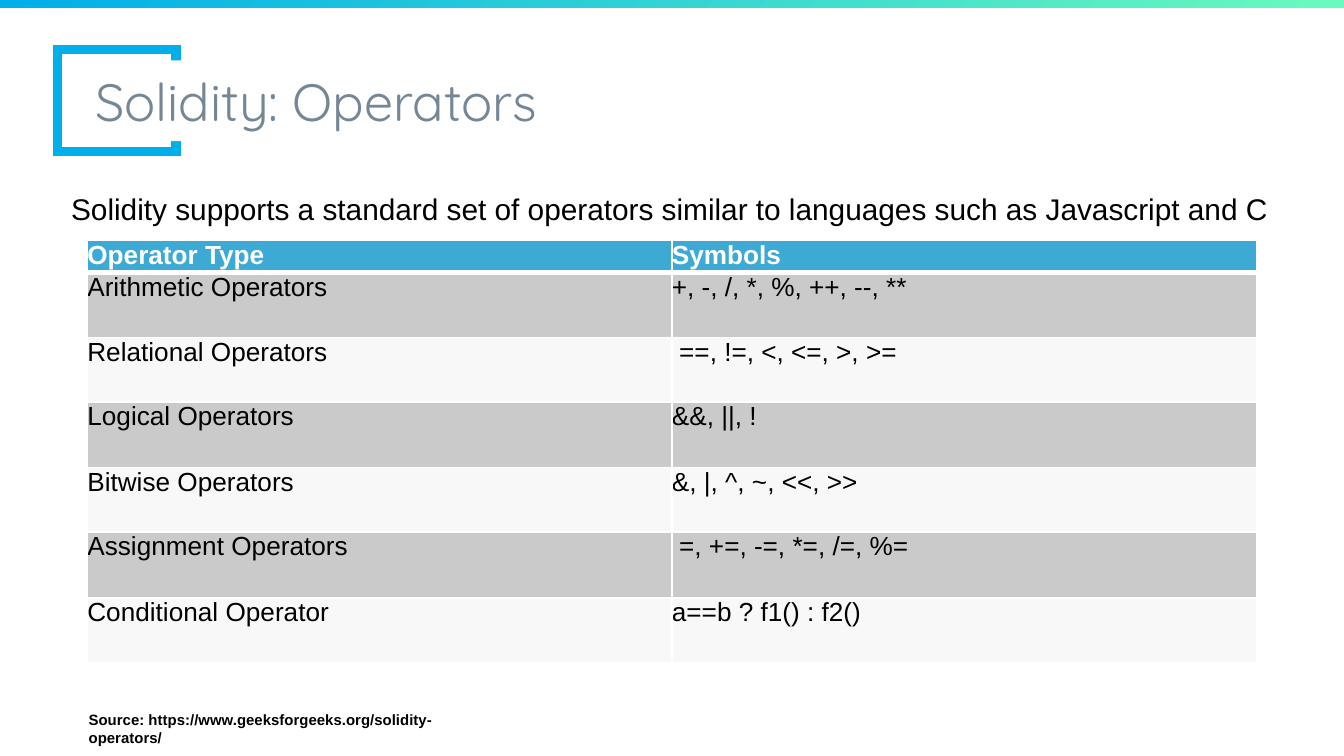
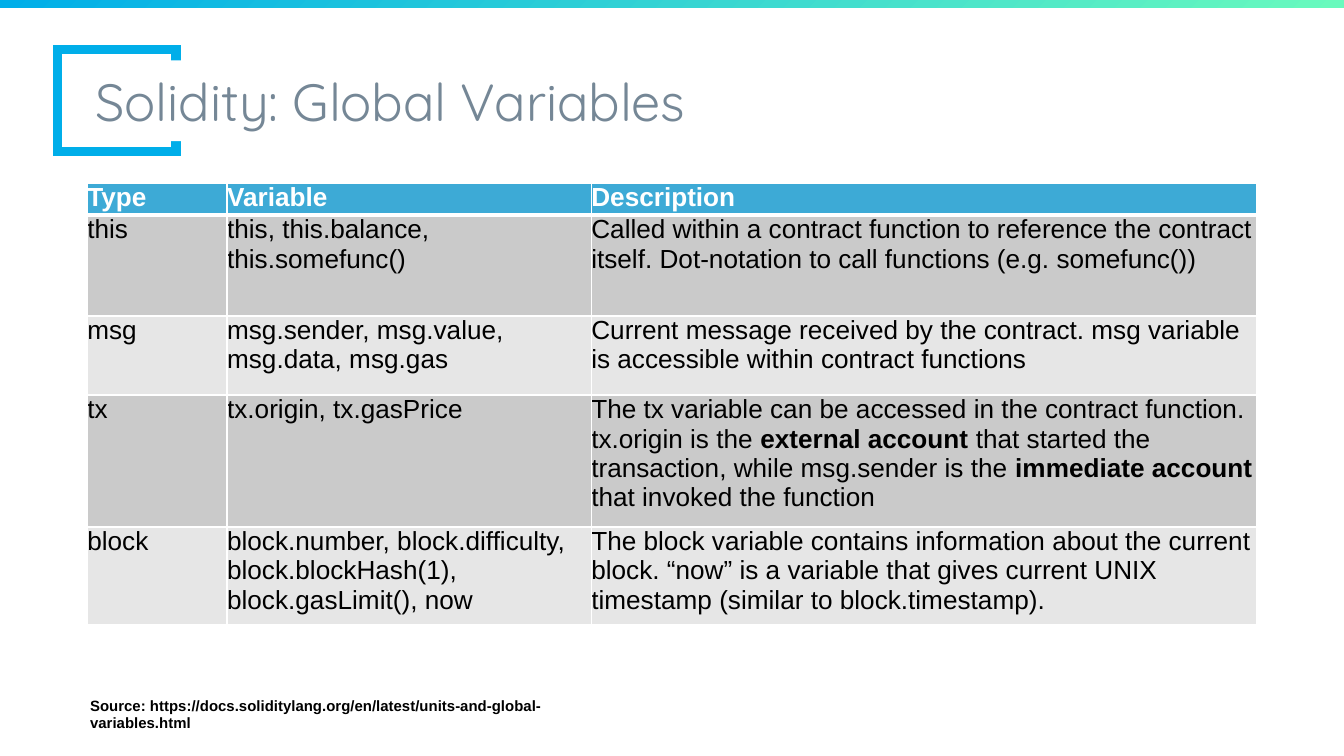
from dataclasses import dataclass

from lxml import etree
from pptx import Presentation
from pptx import util as u
from pptx.dml.color import RGBColor
from pptx.enum import shapes, text
from pptx.oxml import ns

Box = tuple[float, float, float, float]
Words = str | tuple[str, ...]


@dataclass(frozen=True)
class Theme:
    sky: str = "00AEE9"
    mint: str = "69FABD"
    slate: str = "758796"
    head: str = "3DAAD6"
    dark: str = "CACACA"
    light: str = "E6E6E6"
    white: str = "FFFFFF"
    black: str = "000000"
    title_font: str = "Quicksand"
    font: str = "Arial"
    title_size: int = 28
    lead_size: int = 16
    cell_size: int = 14
    note_size: int = 8
    rule: int = 1
    head_rule: int = 3
    frame_rule: int = 5


@dataclass(frozen=True)
class Note:
    words: str
    box: Box
    size: int
    bold: bool = False


@dataclass(frozen=True)
class Grid:
    left: float
    top: float
    cols: tuple[float, ...]
    rows: tuple[float, ...]
    cells: tuple[tuple[Words, ...], ...]
    pale: int = 100  # opacity of the light rows, in percent


@dataclass(frozen=True)
class Page:
    title: str
    grid: Grid
    notes: tuple[Note, ...]


T = Theme()

PAGES = (
    Page(
        "Solidity: Operators",
        Grid(
            0.65, 1.79, (4.35, 4.35),
            (0.24, 0.48, 0.48, 0.49, 0.48, 0.49, 0.48),
            (
                ("Operator Type", "Symbols"),
                ("Arithmetic Operators", "+, -, /, *, %, ++, --, **"),
                ("Relational Operators", " ==, !=, <, <=, >, >="),
                ("Logical Operators", "&&, ||, !"),
                ("Bitwise Operators", "&, |, ^, ~, <<, >>"),
                ("Assignment Operators", " =, +=, -=, *=, /=, %="),
                ("Conditional Operator", "a==b ? f1() : f2()"),
            ),
            pale=25,
        ),
        (
            Note("Source: https://www.geeksforgeeks.org/solidity-operators/",
                 (0.66, 5.29, 3.1, 0.14), T.note_size, True),
            Note("Solidity supports a standard set of operators similar to "
                 "languages such as Javascript and C",
                 (0.53, 1.42, 8.94, 0.24), T.lead_size),
        ),
    ),
    Page(
        "Solidity: Global Variables",
        Grid(
            0.65, 1.36, (1.04, 2.71, 4.95),
            (0.24, 0.75, 0.59, 0.98, 0.73),
            (
                ("Type", "Variable", "Description"),
                ("this", "this, this.balance, this.somefunc()",
                 "Called within a contract function to reference the contract "
                 "itself. Dot-notation to call functions (e.g. somefunc())"),
                ("msg", "msg.sender, msg.value, msg.data, msg.gas",
                 "Current message received by the contract. msg variable is "
                 "accessible within contract functions"),
                ("tx", "tx.origin, tx.gasPrice",
                 ("The tx variable can be accessed in the contract function. "
                  "tx.origin is the ", "external account",
                  " that started the transaction, while msg.sender is the ",
                  "immediate account ", "that invoked the function")),
                ("block",
                 "block.number, block.difficulty, block.blockHash(1), "
                 "block.gasLimit(), now",
                 "The block variable contains information about the current "
                 "block. “now” is a variable that gives current UNIX "
                 "timestamp (similar to block.timestamp)."),
            ),
        ),
        (
            Note("Source: https://docs.soliditylang.org/en/latest/"
                 "units-and-global-variables.html",
                 (0.67, 5.18, 4.11, 0.14), T.note_size, True),
        ),
    ),
)


def rgb(code: str) -> RGBColor:
    return RGBColor.from_string(code)


def inches(box: Box) -> list[u.Inches]:
    return [u.Inches(n) for n in box]


def add(parent, tag: str, **attrs: str):
    """Append a DrawingML child element."""
    return etree.SubElement(parent, ns.qn(tag), attrs)


def write(frame, words: Words, *, size: int, color: str = T.black,
          font: str = T.font, bold: bool = False, inset: float = 0,
          anchor=text.MSO_ANCHOR.TOP) -> None:
    """Fill a text frame; in a tuple every second part is bold."""
    frame.word_wrap = True
    frame.vertical_anchor = anchor
    frame.margin_left = frame.margin_right = u.Inches(inset)
    frame.margin_top = frame.margin_bottom = u.Inches(inset)
    line = frame.paragraphs[0]
    line.alignment = text.PP_ALIGN.LEFT
    parts = (words,) if isinstance(words, str) else words
    for i, part in enumerate(parts):
        run = line.add_run()
        run.text = part
        run.font.name = font
        run.font.size = u.Pt(size)
        run.font.bold = bold or i % 2 == 1
        run.font.color.rgb = rgb(color)


def block(slide, box: Box):
    """Add a white rectangle with no line and no shadow."""
    rect = slide.shapes.add_shape(shapes.MSO_SHAPE.RECTANGLE, *inches(box))
    rect.shadow.inherit = False
    rect.fill.solid()
    rect.fill.fore_color.rgb = rgb(T.white)
    rect.line.fill.background()
    return rect


def header(slide, title: str) -> None:
    frame = block(slide, (0.43, 0.37, 0.88, 0.76))
    frame.line.color.rgb = rgb(T.sky)
    frame.line.width = u.Pt(T.frame_rule)
    add(frame.line._get_or_add_ln(), "a:miter", lim="800000")

    band = block(slide, (0, 0, 10, 0.06))
    band.fill.gradient()
    band.fill.gradient_angle = 315
    for stop, color, place in zip(band.fill.gradient_stops,
                                  (T.sky, T.mint), (0, 1)):
        stop.color.rgb = rgb(color)
        stop.position = place

    block(slide, (0.63, 0.45, 7.76, 0.6))  # opens the frame on the right

    name = slide.shapes.title
    slide.shapes._spTree.append(name._element)  # brings the title to the front
    name.left, name.top, name.width, name.height = inches((0.61, 0.35, 8.5, 0.8))
    write(name.text_frame, title, size=T.title_size, color=T.slate,
          font=T.title_font, inset=0.1, anchor=text.MSO_ANCHOR.MIDDLE)


def edge(cell, row: int) -> None:
    """Draw white cell borders, thicker under the head row."""
    thick = {(0, "B"), (1, "T")}
    props = cell._tc.get_or_add_tcPr()
    for side in "LRTB":
        width = T.head_rule if (row, side) in thick else T.rule
        line = add(props, f"a:ln{side}", w=str(u.Pt(width)))
        add(add(line, "a:solidFill"), "a:srgbClr", val=T.white)


def paint(cell, color: str, alpha: int) -> None:
    cell.fill.solid()
    cell.fill.fore_color.rgb = rgb(color)
    if alpha < 100:
        tint = cell._tc.tcPr.find(ns.qn("a:solidFill"))[0]
        add(tint, "a:alpha", val=str(alpha * 1000))


def draw(slide, grid: Grid) -> None:
    box = (grid.left, grid.top, sum(grid.cols), sum(grid.rows))
    table = slide.shapes.add_table(len(grid.rows), len(grid.cols),
                                   *inches(box)).table
    table.horz_banding = False
    for col, width in zip(table.columns, grid.cols):
        col.width = u.Inches(width)
    for r, (height, line) in enumerate(zip(grid.rows, grid.cells)):
        table.rows[r].height = u.Inches(height)
        top = r == 0
        fill = T.head if top else T.dark if r % 2 else T.light
        for c, words in enumerate(line):
            cell = table.cell(r, c)
            cell.margin_left = cell.margin_right = 0
            cell.margin_top = cell.margin_bottom = 0
            edge(cell, r)
            paint(cell, fill, grid.pale if fill == T.light else 100)
            write(cell.text_frame, words, size=T.cell_size, bold=top,
                  color=T.white if top else T.black)


def main() -> None:
    deck = Presentation()
    deck.slide_width = u.Inches(10)
    deck.slide_height = deck.slide_width * 9 // 16
    for page in PAGES:
        slide = deck.slides.add_slide(deck.slide_layouts[5])
        header(slide, page.title)
        draw(slide, page.grid)
        for note in page.notes:
            area = slide.shapes.add_textbox(*inches(note.box))
            write(area.text_frame, note.words, size=note.size, bold=note.bold)
    deck.save("out.pptx")


if __name__ == "__main__":
    main()
